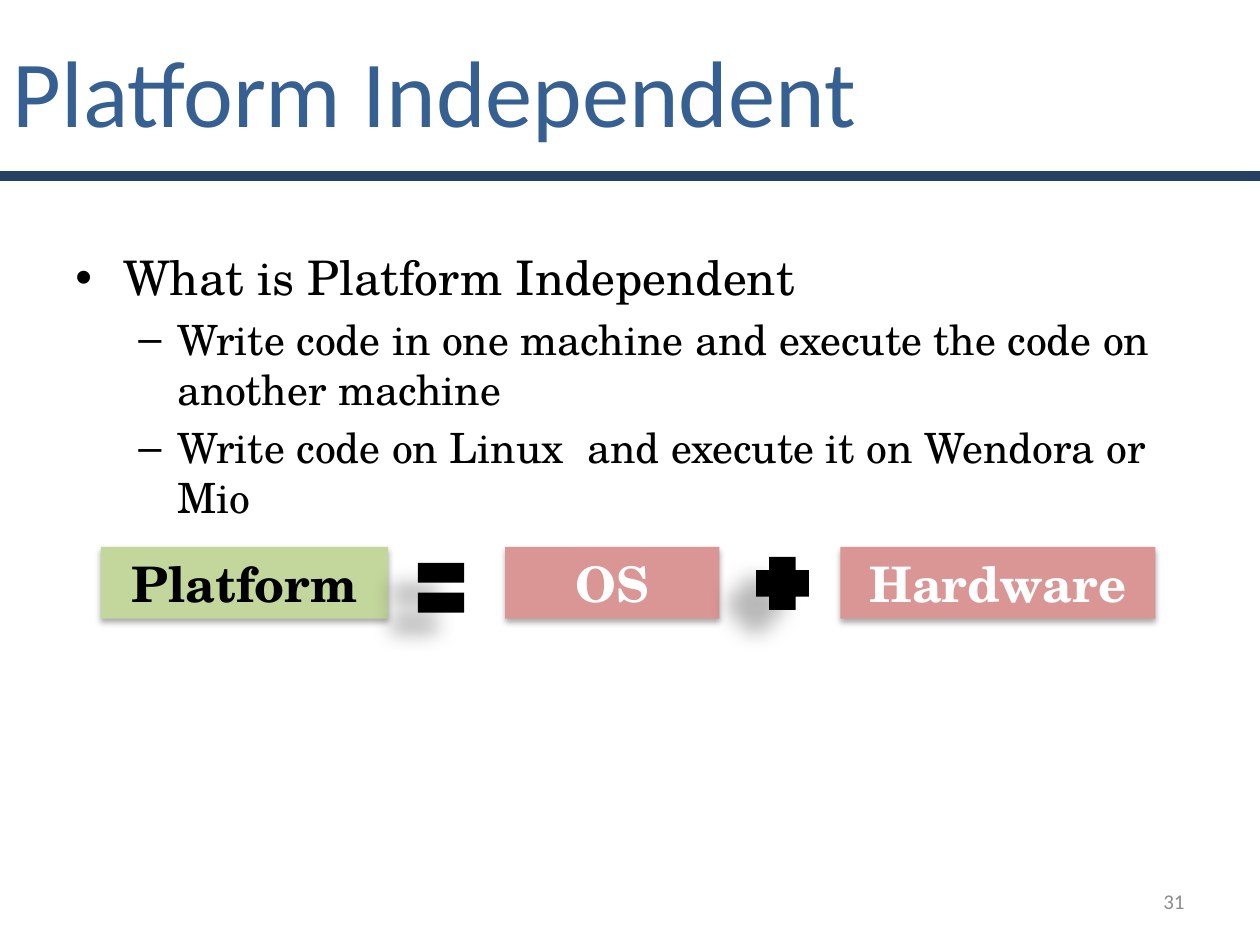
import pptx
import pptx.util
import pptx.dml.color
import pptx.enum.shapes
import pptx.enum.text
import pptx.oxml
import pptx.oxml.ns
from collections import namedtuple

Box = namedtuple("Box", "left top width height")

# The grid has 100 columns and 75 rows of square cells.
COLUMNS, ROWS = 100, 75
CELL = pptx.util.Inches(0.1)

COLORS = {
    "navy": "254061", "blue": "376092", "black": "000000", "white": "FFFFFF",
    "green": "C3D69B", "rose": "D99694", "gray": "8C8C8C",
}
BODY_FONT = "TeX Gyre Schola"
SHAPES = pptx.enum.shapes.MSO_SHAPE
ALIGN = pptx.enum.text.PP_ALIGN
ANCHOR = pptx.enum.text.MSO_ANCHOR

# Opacity in percent, blur and distance in points, direction in degrees
CARD_SHADOW = {"opacity": 32, "blur": 3.5, "distance": 2.2, "direction": 90}
SIGN_SHADOW = {"opacity": 28, "blur": 11.8, "distance": 19.7, "direction": 141}


def rgb(name):
    return pptx.dml.color.RGBColor.from_string(COLORS[name])


def inside(box, left, top, width, height):
    """Return a box whose offset is counted from the corner of another box."""
    return Box(box.left + left, box.top + top, width, height)


def lengths(box):
    return [round(value * CELL) for value in box]


def style(para, size, color, name=BODY_FONT, align=None, **formats):
    para.alignment = align
    formats.update(size=pptx.util.Pt(size), name=name)
    for key, value in formats.items():
        setattr(para.font, key, value)
    para.font.color.rgb = rgb(color)


def add_filled(page, kind, box, color, shadow=None):
    shape = page.shapes.add_shape(kind, *lengths(box))
    shape.shadow.inherit = False
    shape.fill.solid()
    shape.fill.fore_color.rgb = rgb(color)
    shape.line.fill.background()
    if shadow:
        cast_shadow(shape, **shadow)
    return shape


def cast_shadow(shape, opacity, blur, distance, direction):
    effects = shape._element.spPr.find(pptx.oxml.ns.qn("a:effectLst"))
    effects.append(pptx.oxml.parse_xml(
        f'<a:outerShdw {pptx.oxml.ns.nsdecls("a")} blurRad="{pptx.util.Pt(blur)}" '
        f'dist="{pptx.util.Pt(distance)}" dir="{direction * 60000}" rotWithShape="0">'
        f'<a:srgbClr val="{COLORS["black"]}"><a:alpha val="{opacity * 1000}"/>'
        '</a:srgbClr></a:outerShdw>'))


def add_header(page, box, text):
    title = page.shapes.title
    title.left, title.top, title.width, title.height = lengths(
        inside(box, 0, 0, 78.3, box.height))
    frame = title.text_frame
    frame.text = text
    frame.auto_size = pptx.enum.text.MSO_AUTO_SIZE.NONE
    frame.vertical_anchor = ANCHOR.MIDDLE
    style(frame.paragraphs[0], 54, "blue", "Calibri", ALIGN.LEFT)

    rule = add_filled(page, SHAPES.RECTANGLE,
                      inside(box, 0, box.height - 0.5, box.width, 0.5), "navy")
    rule.line.color.rgb = rgb("navy")
    rule.line.width = pptx.util.Pt(2)


def add_bullets(page, box, items):
    """Write (level, text) items as a two-level bulleted list."""
    looks = [{"mark": "•", "margin": 0.38, "hang": 0.38, "size": 27.2},
             {"mark": "–", "margin": 0.81, "hang": 0.31, "size": 23.8}]
    frame = page.shapes.add_textbox(*lengths(box)).text_frame
    frame.word_wrap = True
    for index, (level, text) in enumerate(items):
        para = frame.add_paragraph() if index else frame.paragraphs[0]
        look = looks[level]
        para.text = text
        para.level = level
        if index:
            para.space_before = pptx.util.Pt(look["size"] * 0.2)
        properties = para._p.get_or_add_pPr()
        properties.set("marL", str(pptx.util.Inches(look["margin"])))
        properties.set("indent", str(-pptx.util.Inches(look["hang"])))
        for tag, key, value in (("buFont", "typeface", "Arial"),
                                ("buChar", "char", look["mark"])):
            properties.append(pptx.oxml.parse_xml(
                f'<a:{tag} {pptx.oxml.ns.nsdecls("a")} {key}="{value}"/>'))
        style(para, look["size"], "black")


def add_equation(page, box, cards, signs):
    """Place word cards and the signs between them along one row."""
    for text, left, width, fill, color in cards:
        card = add_filled(page, SHAPES.RECTANGLE,
                          inside(box, left, 0, width, box.height), fill, CARD_SHADOW)
        frame = card.text_frame
        frame.text = text
        frame.vertical_anchor = ANCHOR.MIDDLE
        style(frame.paragraphs[0], 28, color, align=ALIGN.CENTER, bold=True)
    for kind, *place in signs:
        add_filled(page, kind, inside(box, *place), "black", SIGN_SHADOW)


def add_page_number(page, box, number):
    frame = page.shapes.add_textbox(*lengths(box)).text_frame
    frame.word_wrap = True
    frame.vertical_anchor = ANCHOR.MIDDLE
    frame.text = str(number)
    style(frame.paragraphs[0], 12, "gray", "Calibri", ALIGN.RIGHT)


def main():
    deck = pptx.Presentation()
    deck.slide_width, deck.slide_height = COLUMNS * CELL, ROWS * CELL
    page = deck.slides.add_slide(deck.slide_layouts.get_by_name("Title Only"))

    add_header(page, Box(0, 0, COLUMNS, 14.2), "Platform Independent")
    add_bullets(page, Box(5, 19.2, 90, 20), [
        (0, "What is Platform Independent"),
        (1, "Write code in one machine and execute the code on another machine"),
        (1, "Write code on Linux  and execute it on Wendora or Mio"),
    ])
    add_equation(
        page, Box(8, 43.4, 83.7, 5.7),
        cards=[("Platform", 0, 22.8, "green", "black"),
               ("OS", 32.1, 17, "rose", "white"),
               ("Hardware", 58.7, 25, "rose", "white")],
        signs=[(SHAPES.CROSS, 52, 0.8, 4.2, 4.2),
               (SHAPES.MATH_EQUAL, 24.5, -0.1, 5, 6.7)])
    add_page_number(page, Box(71.7, 69.5, 23.3, 4), 31)

    deck.save("out.pptx")


if __name__ == "__main__":
    main()
